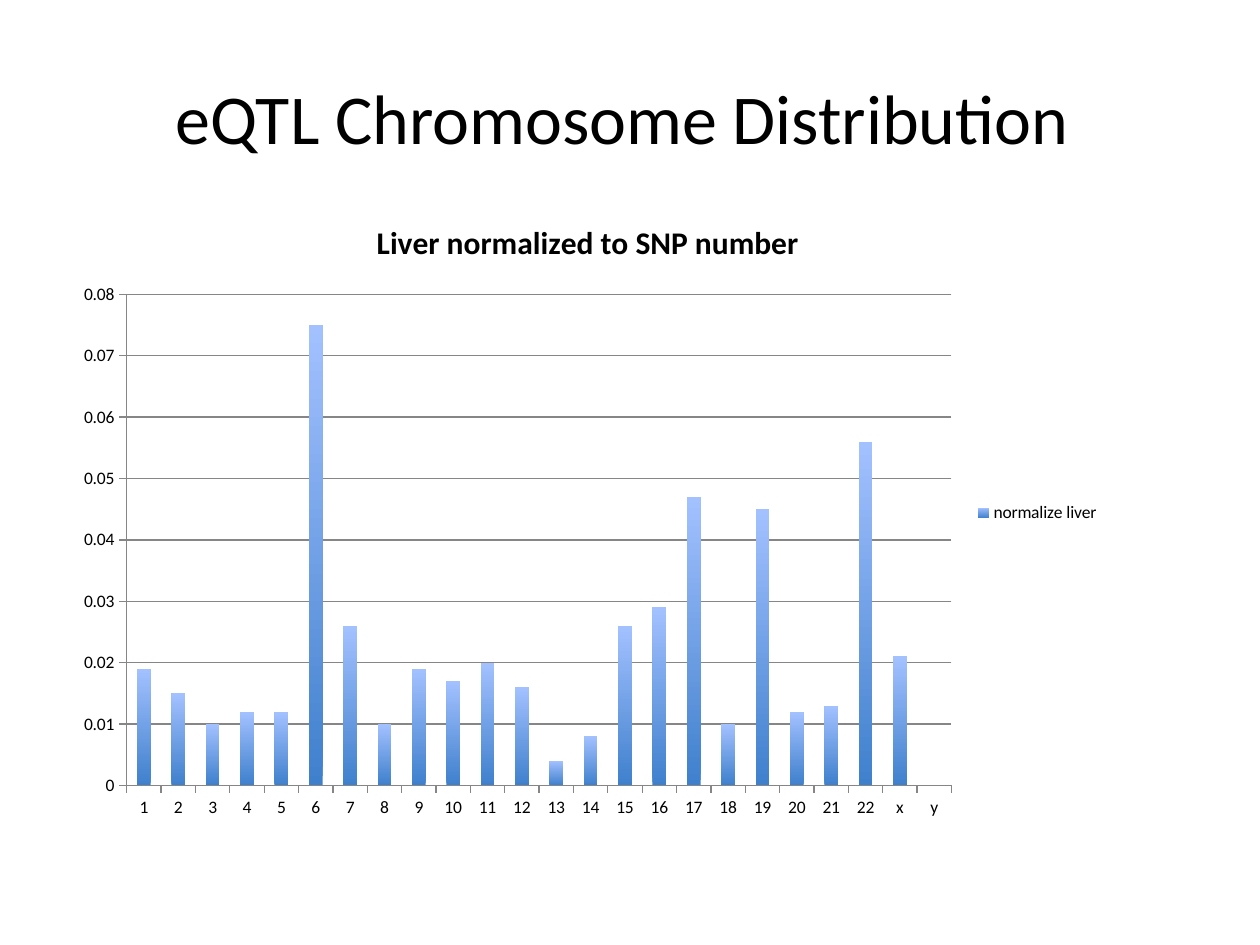
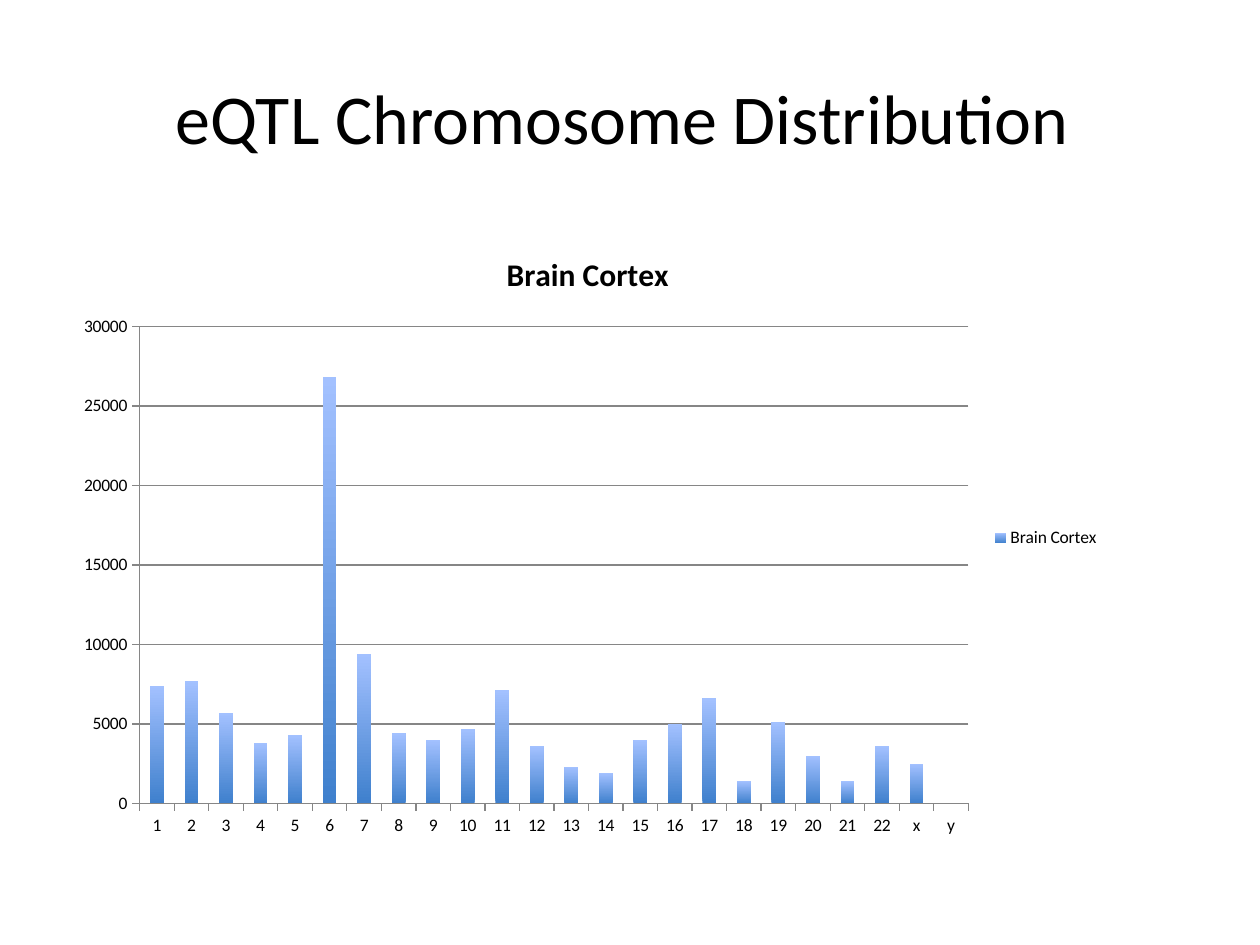
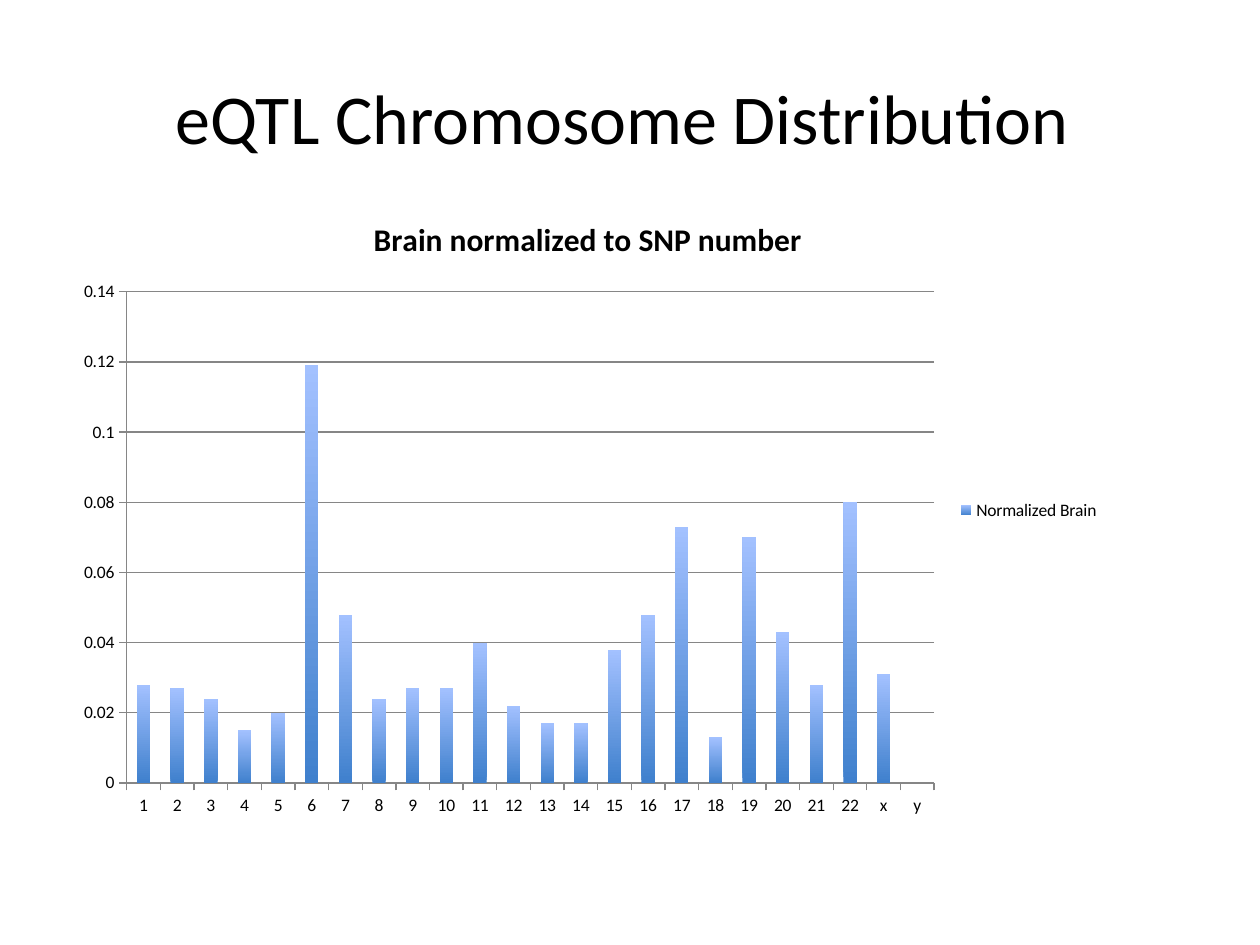
from dataclasses import dataclass

from pptx import Presentation
from pptx import util as u
from pptx.chart.data import CategoryChartData
from pptx.dml.color import RGBColor
from pptx.enum import chart as charts, text


@dataclass(frozen=True)
class Theme:
    font: str = "Calibri"
    ink: RGBColor = RGBColor(0, 0, 0)
    axis: RGBColor = RGBColor(0x86, 0x86, 0x86)
    bar_bottom: RGBColor = RGBColor(0x3F, 0x80, 0xCD)
    bar_top: RGBColor = RGBColor(0xA3, 0xC1, 0xFF)
    heading_size: int = 40
    chart_title_size: int = 18
    label_size: int = 10
    line_width: float = 0.75


class Deck:
    def __init__(self, theme):
        self.theme = theme
        self.presentation = Presentation()
        self.presentation.slide_width = u.Inches(10)
        self.presentation.slide_height = u.Inches(7.5)
        self.slide = None

    def new_slide(self):
        blank = self.presentation.slide_layouts[6]
        self.slide = self.presentation.slides.add_slide(blank)

    def style_font(self, font, size, bold=False):
        font.name = self.theme.font
        font.size = u.Pt(size)
        font.bold = bold
        font.color.rgb = self.theme.ink

    def style_line(self, line):
        line.color.rgb = self.theme.axis
        line.width = u.Pt(self.theme.line_width)

    def heading(self, wording):
        box = self.slide.shapes.add_textbox(
            u.Inches(0.5), u.Inches(0.3), u.Inches(9), u.Inches(1.25))
        frame = box.text_frame
        frame.word_wrap = True
        frame.vertical_anchor = text.MSO_ANCHOR.MIDDLE
        frame.text = wording
        line = frame.paragraphs[0]
        line.alignment = text.PP_ALIGN.CENTER
        self.style_font(line.runs[0].font, self.theme.heading_size)

    def column_chart(self, title, series_name, categories, values,
                     top, height, axis_max, axis_step):
        data = CategoryChartData()
        data.categories = categories
        data.add_series(series_name, values)
        chart = self.slide.shapes.add_chart(
            charts.XL_CHART_TYPE.COLUMN_CLUSTERED, u.Inches(0.5),
            u.Inches(top), u.Inches(8.33), u.Inches(height), data).chart
        self.style_font(chart.font, self.theme.label_size)

        chart.has_title = True
        caption = chart.chart_title
        caption.include_in_layout = False
        caption.text_frame.text = title
        self.style_font(caption.text_frame.paragraphs[0].runs[0].font,
                        self.theme.chart_title_size, bold=True)

        chart.has_legend = True
        chart.legend.position = charts.XL_LEGEND_POSITION.RIGHT
        chart.legend.include_in_layout = False

        for axis in (chart.category_axis, chart.value_axis):
            axis.major_tick_mark = charts.XL_TICK_MARK.OUTSIDE
            axis.minor_tick_mark = charts.XL_TICK_MARK.NONE
            self.style_line(axis.format.line)
        scale = chart.value_axis
        scale.minimum_scale = 0
        scale.maximum_scale = axis_max
        scale.major_unit = axis_step
        scale.has_major_gridlines = True
        self.style_line(scale.major_gridlines.format.line)

        plot = chart.plots[0]
        plot.gap_width = 150
        plot.vary_by_categories = False
        self.bar_gradient(plot.series[0].format.fill)

    def bar_gradient(self, fill):
        fill.gradient()
        fill.gradient_angle = 90
        shades = (self.theme.bar_bottom, self.theme.bar_top)
        for stop, shade in zip(fill.gradient_stops, shades):
            stop.color.rgb = shade


HEADING = "eQTL Chromosome Distribution "
CHROMOSOMES = [str(number) for number in range(1, 23)] + ["x", "y"]
DISTRIBUTIONS = [
    dict(title="Liver normalized to SNP number", series_name="normalize liver",
         top=1.55, height=5.04, axis_max=0.08, axis_step=0.01,
         values=[0.019, 0.015, 0.01, 0.012, 0.012, 0.075, 0.026, 0.01,
                 0.019, 0.017, 0.02, 0.016, 0.004, 0.008, 0.026, 0.029,
                 0.047, 0.01, 0.045, 0.012, 0.013, 0.056, 0.021, 0]),
    dict(title="Brain Cortex", series_name="Brain Cortex",
         top=1.81, height=4.92, axis_max=30000, axis_step=5000,
         values=[7400, 7700, 5700, 3800, 4300, 26800, 9400, 4400,
                 4000, 4700, 7100, 3600, 2300, 1900, 4000, 5000,
                 6600, 1400, 5100, 3000, 1400, 3600, 2500, 0]),
    dict(title="Brain normalized to SNP number", series_name="Normalized Brain",
         top=1.53, height=5.04, axis_max=0.14, axis_step=0.02,
         values=[0.028, 0.027, 0.024, 0.015, 0.02, 0.119, 0.048, 0.024,
                 0.027, 0.027, 0.04, 0.022, 0.017, 0.017, 0.038, 0.048,
                 0.073, 0.013, 0.07, 0.043, 0.028, 0.08, 0.031, 0]),
]


def main():
    deck = Deck(Theme())
    for distribution in DISTRIBUTIONS:
        deck.new_slide()
        deck.heading(HEADING)
        deck.column_chart(categories=CHROMOSOMES, **distribution)
    deck.presentation.save("out.pptx")


if __name__ == "__main__":
    main()
